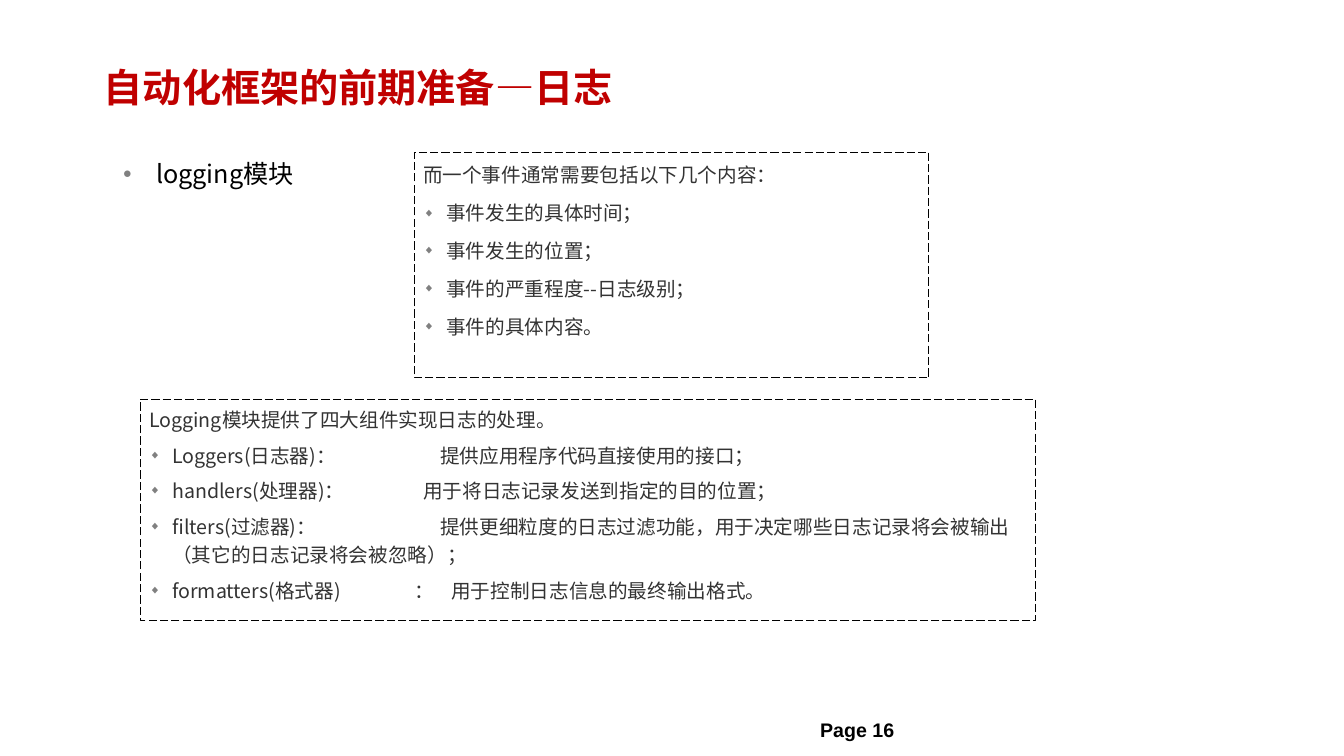
from lxml.etree import SubElement
from pptx import Presentation
from pptx.dml.color import RGBColor
from pptx.enum.dml import MSO_LINE
from pptx.enum.shapes import MSO_SHAPE
from pptx.enum.text import MSO_ANCHOR, MSO_AUTO_SIZE, PP_ALIGN
from pptx.oxml.ns import qn
from pptx.util import Inches, Pt

CJK_FONT = "Noto Sans CJK SC"
EVENT_HEADING = "而一个事件通常需要包括以下几个内容："
EVENT_ITEMS = [
    ("事件发生的具体时间；", ()),
    ("事件发生的位置；", ()),
    ("事件的严重程度--日志级别；", ()),
    ("事件的具体内容。", ()),
]
COMPONENT_HEADING = "Logging模块提供了四大组件实现日志的处理。"
COMPONENT_ITEMS = [
    ("Loggers(日志器)：\t提供应用程序代码直接使用的接口；", (2.89,)),
    ("handlers(处理器)：\t用于将日志记录发送到指定的目的位置；", (2.72,)),
    ("filters(过滤器)：\t提供更细粒度的日志过滤功能，用于决定哪些日志记录将会被输出（其它的日志记录将会被忽略）；", (2.89,)),
    ("formatters(格式器)\t：\t用于控制日志信息的最终输出格式。", (2.63, 3)),
]


def color(value):
    """Turn a hex string into a colour."""
    return RGBColor.from_string(value)


def place(shape, box):
    """Move a shape to a box of left, top, width and height in inches."""
    shape.left, shape.top, shape.width, shape.height = map(Inches, box)


def prepare_frame(shape, anchor=MSO_ANCHOR.TOP, wrap=True):
    """Set the margins, anchor and wrapping of a shape's text."""
    frame = shape.text_frame
    frame.auto_size = MSO_AUTO_SIZE.NONE
    frame.word_wrap = wrap
    frame.vertical_anchor = anchor
    frame.margin_left = frame.margin_right = Inches(0.09)
    frame.margin_top = frame.margin_bottom = Inches(0.04)
    return frame


def add_bullet(para, symbol, indent):
    """Give a paragraph a small grey bullet and a hanging indent."""
    properties = para._p.get_or_add_pPr()
    properties.set("marL", str(Inches(indent)))
    properties.set("indent", str(-Inches(indent)))
    bullet_color = SubElement(properties, qn("a:buClr"))
    SubElement(bullet_color, qn("a:srgbClr"), val="808080")
    SubElement(properties, qn("a:buSzPct"), val="60000")
    SubElement(properties, qn("a:buFont"), typeface="Arial")
    SubElement(properties, qn("a:buChar"), char=symbol)


def add_tabs(para, stops):
    """Add left tab stops given in inches."""
    tab_list = SubElement(para._p.get_or_add_pPr(), qn("a:tabLst"))
    for stop in stops:
        SubElement(tab_list, qn("a:tab"), pos=str(Inches(stop)), algn="l")


def write(frame, text, size=14, ink="333333", font=CJK_FONT, bold=False,
          line=None, before=0, bullet=None, indent=0.23, tabs=()):
    """Write one formatted paragraph at the end of a text frame."""
    first = frame.paragraphs[0]
    para = frame.add_paragraph() if first.runs else first
    if bullet:
        add_bullet(para, bullet, indent)
    if tabs:
        add_tabs(para, tabs)
    para.alignment = PP_ALIGN.LEFT
    para.space_before = Pt(before)
    if line:
        para.line_spacing = Pt(line)
    span = para.add_run()
    span.text = text
    span.font.size = Pt(size)
    span.font.bold = bold
    span.font.color.rgb = color(ink)
    span.font.name = font
    SubElement(span._r.get_or_add_rPr(), qn("a:ea"), typeface=font)


def build_title(slide, box):
    """Fill the title placeholder."""
    title = slide.shapes.title
    place(title, box)
    write(prepare_frame(title, MSO_ANCHOR.MIDDLE), "自动化框架的前期准备—日志",
          size=28, ink="C00000", bold=True)


def build_topic(slide, box):
    """Fill the body placeholder with the topic."""
    body = slide.placeholders[1]
    place(body, box)
    write(prepare_frame(body), "logging模块", size=18, ink="000000",
          line=30, bullet="●", indent=0.33)


def build_panel(slide, box, heading, items, line):
    """Draw a dashed panel with a heading and a bulleted list."""
    panel = slide.shapes.add_shape(MSO_SHAPE.RECTANGLE, *map(Inches, box))
    panel.shadow.inherit = False
    panel.fill.background()
    panel.line.color.rgb = color("000000")
    panel.line.width = Pt(0.75)
    panel.line.dash_style = MSO_LINE.LONG_DASH
    frame = prepare_frame(panel)
    write(frame, heading, line=line)
    for text, tabs in items:
        write(frame, text, line=line, before=5.2, bullet="◆", tabs=tabs)


def build_page_number(slide, box):
    """Write the page label at the foot of the slide."""
    label = slide.shapes.add_textbox(*map(Inches, box))
    write(prepare_frame(label, wrap=False), "Page 16", ink="000000",
          font="Arial", bold=True)


def main():
    """Build and save the deck."""
    deck = Presentation()
    deck.slide_width, deck.slide_height = Inches(13.34), Inches(7.5)
    slide = deck.slides.add_slide(deck.slide_layouts[1])
    build_title(slide, (0.94, 0.39, 11.27, 0.95))
    build_topic(slide, (1.13, 1.41, 5.54, 0.6))
    build_panel(slide, (4.11, 1.51, 5.11, 2.24), EVENT_HEADING, EVENT_ITEMS, 21.9)
    build_panel(slide, (1.39, 3.96, 8.89, 2.2), COMPONENT_HEADING, COMPONENT_ITEMS, 20.2)
    build_page_number(slide, (8.05, 7.08, 1.64, 0.32))
    deck.save("out.pptx")


if __name__ == "__main__":
    main()
